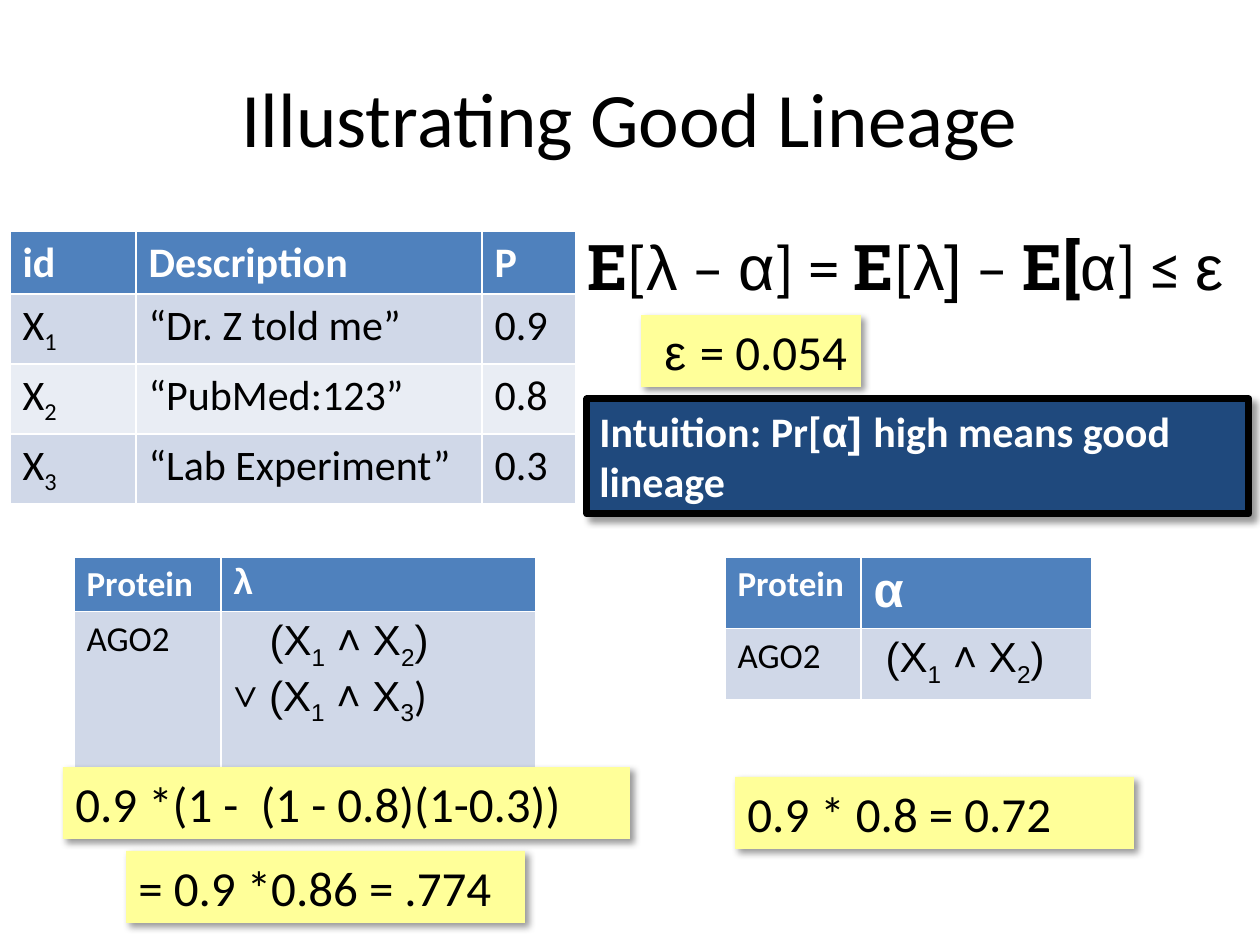
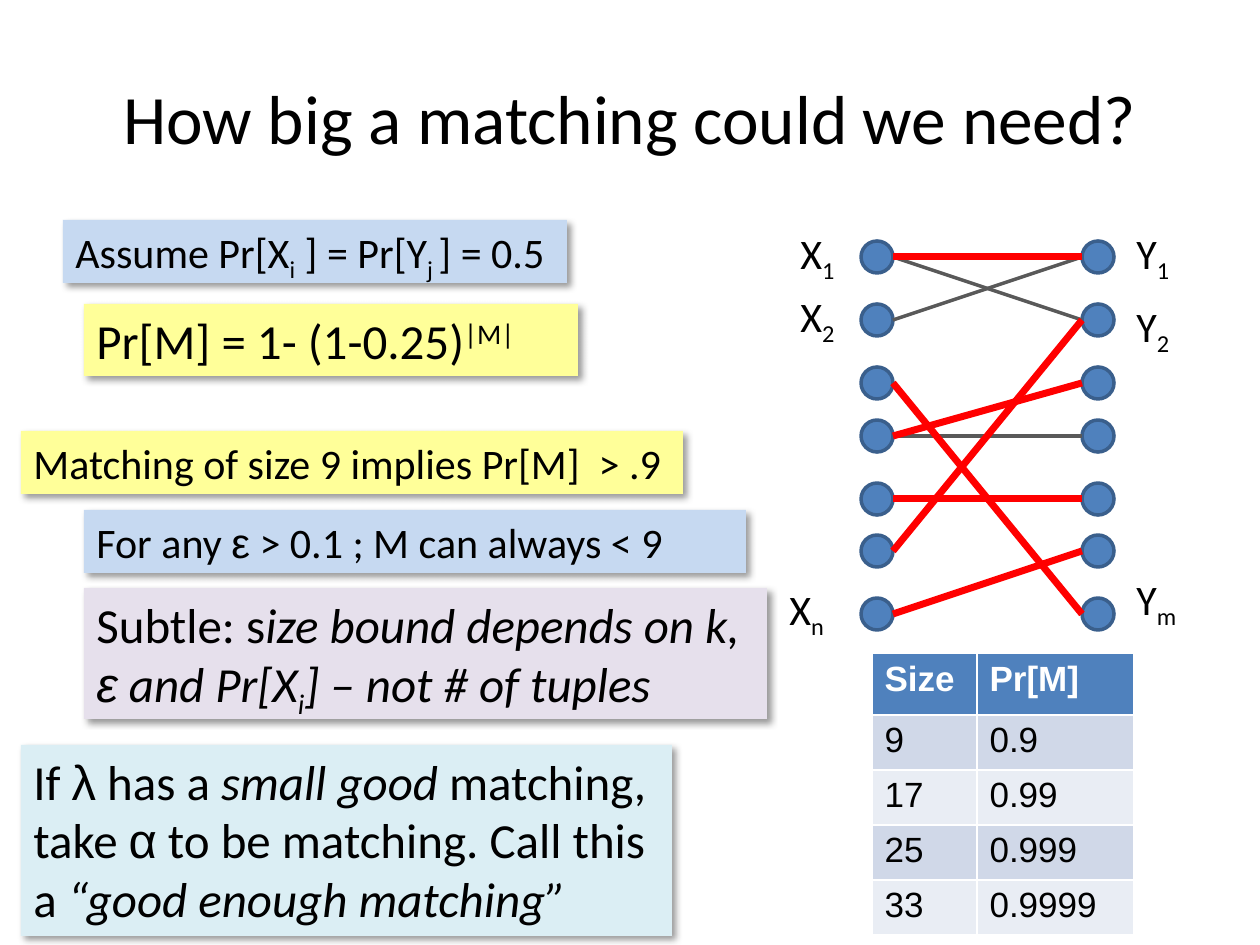
"""Two slides on good lineage and the size of a matching."""
from lxml import etree
from pptx import Presentation
from pptx import util as u
from pptx.dml.color import RGBColor
from pptx.enum import shapes, text
from pptx.oxml import ns

SCALE = 914400 / 126
BLACK = RGBColor(0x00, 0x00, 0x00)
WHITE = RGBColor(0xFF, 0xFF, 0xFF)
BLUE = RGBColor(0x4F, 0x81, 0xBD)
RIM = RGBColor(0x3A, 0x5F, 0x8C)
NAVY = RGBColor(0x1F, 0x49, 0x7D)
BANDS = RGBColor(0xD0, 0xD8, 0xE8), RGBColor(0xE9, 0xED, 0xF4)
YELLOW = RGBColor(0xFF, 0xFF, 0x99)
SKY = RGBColor(0xC6, 0xD9, 0xF1)
LILAC = RGBColor(0xE6, 0xE0, 0xEC)
AQUA = RGBColor(0xDB, 0xEE, 0xF4)
GRAY = RGBColor(0x59, 0x59, 0x59)
RED = RGBColor(0xFF, 0x00, 0x00)

FONTS = {"a": "Arial", "s": "Roboto Slab", "t": "Times New Roman"}
SHIFTS = {"_": "-25000", "^": "30000"}

PAIR = [("(X", "a"), ("1", "a_"), (" ˄ X", "a"), ("2", "a_"), (")", "a")]
EITHER = PAIR + ["\n", ("˅", "tb"), (" (X", "a"), ("1", "a_"),
                 (" ˄ X", "a"), ("3", "a_"), ")"]

LINEAGE = {
    "title": (["Illustrating Good Lineage"], 44),
    "tables": [
        {"at": (10, 231), "cols": (126, 346, 94), "rows": (63, 69, 70, 69),
         "sizes": [(24, 24, 24)] * 4,
         "cells": [
             [["id"], ["Description"], ["P"]],
             [["X", ("1", "_")], ["“Dr. Z told me”"], ["0.9"]],
             [["X", ("2", "_")], ["“PubMed:123”"], ["0.8"]],
             [["X", ("3", "_")], ["“Lab Experiment”"], ["0.3"]]]},
        {"at": (74, 557), "cols": (147, 315), "rows": (54, 158),
         "sizes": [(20, 20), (20, 24)], "indent": 36,
         "cells": [[["Protein"], [("λ", "a")]], [["AGO2"], EITHER]]},
        {"at": (725, 557), "cols": (136, 231), "rows": (65, 71),
         "sizes": [(20, 28), (20, 24)], "indent": 12,
         "cells": [[["Protein"], [("α", "a")]], [["AGO2"], PAIR]]}],
    "boxes": [
        ((63, 767, 567, 72), YELLOW, 28, ["0.9 *(1 -  (1 - 0.8)(1-0.3))"]),
        ((735, 777, 399, 72), YELLOW, 28, ["0.9 * 0.8 = 0.72"]),
        ((126, 851, 399, 72), YELLOW, 28, ["= 0.9 *0.86 = .774"]),
        ((641, 315, 220, 72), YELLOW, 28, [" ", ("ε ", "a"), "= 0.054"]),
        ((587, 399, 662, 115), NAVY, 24,
         [("Intuition: Pr[", "b"), ("α] ", "ab"), ("high means good lineage", "b")])],
    "labels": [
        ((575, 221, 685, 89), 36,
         [("E", "sb"), "[", ("λ", "a"), " – ", ("α", "a"), "] = ",
          ("E", "sb"), "[", ("λ]", "a"), " – ", ("E[", "sb"), ("α", "a"),
          "] ≤ ", ("ε", "a")])],
}

MATCHING = {
    "title": (["How big a matching could we need?"], 39.6),
    "tables": [
        {"at": (872, 653), "cols": (105, 157), "rows": (62, 55, 55, 55, 54),
         "sizes": [(20, 20)] * 5,
         "cells": [[[(word, "a")] for word in row] for row in (
             ("Size", "Pr[M]"), ("9", "0.9"), ("17", "0.99"),
             ("25", "0.999"), ("33", "0.9999"))]}],
    "boxes": [
        ((21, 431, 662, 63), YELLOW, 24, ["Matching of size 9 implies Pr[M]  > .9"]),
        ((84, 304, 494, 72), YELLOW, 28, ["Pr[M] = 1- (1-0.25)", ("|M|", "^")]),
        ((63, 220, 504, 63), SKY, 24,
         ["Assume Pr[X", ("i", "_"), " ] = Pr[Y", ("j ", "_"), "] = 0.5"]),
        ((21, 745, 651, 191), AQUA, 28,
         ["If ", ("λ", "a"), " has a ", ("small good ", "i"), "matching, take ",
          ("α", "a"), " to be matching. Call this a ",
          ("“good enough matching”", "i")]),
        ((84, 588, 683, 131), LILAC, 28,
         ["Subtle: s", ("ize bound depends on k, ", "i"), ("ε", "ai"),
          (" and Pr[X", "i"), ("i", "i_"), ("] – not # of tuples", "i")]),
        ((84, 510, 662, 63), SKY, 24,
         ["For any ", ("ε", "a"), " > 0.1 ; M can always < 9"])],
    "labels": [
        ((x, y, w, 63), 24, [name, (sub, "_")]) for x, y, w, name, sub in (
            (788, 221, 63, "X", "1"), (788, 284, 63, "X", "2"),
            (777, 577, 63, "X", "n"), (1124, 221, 63, "Y", "1"),
            (1124, 294, 63, "Y", "2"), (1124, 567, 73, "Y", "m"))],
}

DOT = 32
LEFT, RIGHT = 861, 1082
TOPS = (241, 304, 367, 420, 483, 535, 598)
CHOSEN = [(0, 0), (3, 2), (2, 6), (4, 4), (6, 5), (5, 1)]
EDGES = [(0, 1), (1, 0), (3, 3)] + CHOSEN


def px(n):
    return u.Emu(round(n * SCALE))


def write(frame, runs, size, color=BLACK, bold=False):
    para = frame.paragraphs[0]
    for item in runs:
        if item == "\n":
            para = frame.add_paragraph()
            continue
        word, marks = (item, "") if isinstance(item, str) else item
        run = para.add_run()
        run.text = word
        font = run.font
        font.size = u.Pt(size)
        font.name = next((FONTS[m] for m in marks if m in FONTS), "Calibri")
        font.bold = bold or "b" in marks
        font.italic = "i" in marks
        font.color.rgb = color
        for mark in marks:
            if mark in SHIFTS:
                run._r.get_or_add_rPr().set("baseline", SHIFTS[mark])


def add_label(slide, area, size, runs):
    frame = slide.shapes.add_textbox(*map(px, area)).text_frame
    frame.word_wrap = True
    write(frame, runs, size)
    return frame


def add_title(slide, runs, size):
    frame = add_label(slide, (63, 38, 1134, 157), size, runs)
    frame.vertical_anchor = text.MSO_ANCHOR.MIDDLE
    frame.paragraphs[0].alignment = text.PP_ALIGN.CENTER


def add_shade(shape):
    props = shape._element.spPr
    for old in props.findall(ns.qn("a:effectLst")):
        props.remove(old)
    effects = etree.SubElement(props, ns.qn("a:effectLst"))
    shade = etree.SubElement(effects, ns.qn("a:outerShdw"), blurRad="50800",
                             dist="38100", dir="2700000", algn="tl", rotWithShape="0")
    tint = etree.SubElement(shade, ns.qn("a:srgbClr"), val="000000")
    etree.SubElement(tint, ns.qn("a:alpha"), val="40000")


def add_box(slide, area, fill, size, runs):
    box = slide.shapes.add_shape(shapes.MSO_SHAPE.RECTANGLE, *map(px, area))
    box.fill.solid()
    box.fill.fore_color.rgb = fill
    dark = fill == NAVY
    if dark:
        box.line.color.rgb = BLACK
        box.line.width = u.Pt(4)
    else:
        box.line.fill.background()
    add_shade(box)
    frame = box.text_frame
    frame.word_wrap = True
    frame.vertical_anchor = text.MSO_ANCHOR.TOP
    write(frame, runs, size, WHITE if dark else BLACK)
    frame.paragraphs[0].alignment = text.PP_ALIGN.LEFT


def add_grid(slide, data):
    cols, rows = data["cols"], data["rows"]
    area = *data["at"], sum(cols), sum(rows)
    grid = slide.shapes.add_table(len(rows), len(cols), *map(px, area)).table
    for col, width in zip(grid.columns, cols):
        col.width = px(width)
    for r, height in enumerate(rows):
        grid.rows[r].height = px(height)
        for c, runs in enumerate(data["cells"][r]):
            cell = grid.cell(r, c)
            cell.fill.solid()
            cell.fill.fore_color.rgb = BANDS[(r - 1) % 2] if r else BLUE
            write(cell.text_frame, runs, data["sizes"][r][c],
                  BLACK if r else WHITE, r == 0)
    if "indent" in data:
        para = grid.cell(1, 1).text_frame.paragraphs[0]
        para._p.get_or_add_pPr().set("marL", str(px(data["indent"])))


def add_edges(slide, pairs, color, width):
    for a, b in pairs:
        ends = LEFT + DOT, TOPS[a] + DOT // 2, RIGHT, TOPS[b] + DOT // 2
        edge = slide.shapes.add_connector(shapes.MSO_CONNECTOR.STRAIGHT, *map(px, ends))
        edge.line.color.rgb = color
        edge.line.width = u.Pt(width)
        etree.SubElement(edge._element.spPr, ns.qn("a:effectLst"))


def add_graph(slide):
    for x in (LEFT, RIGHT):
        for y in TOPS:
            dot = slide.shapes.add_shape(shapes.MSO_SHAPE.OVAL, *map(px, (x, y, DOT, DOT)))
            dot.shadow.inherit = False
            dot.fill.solid()
            dot.fill.fore_color.rgb = BLUE
            dot.line.color.rgb = RIM
            dot.line.width = u.Pt(2)
    add_edges(slide, EDGES, GRAY, 2)
    add_edges(slide, CHOSEN, RED, 4)


def add_page(deck, data):
    slide = deck.slides.add_slide(deck.slide_layouts[6])
    add_title(slide, *data["title"])
    for grid in data["tables"]:
        add_grid(slide, grid)
    for box in data["boxes"]:
        add_box(slide, *box)
    for label in data["labels"]:
        add_label(slide, *label)
    return slide


def main():
    deck = Presentation()
    deck.slide_width, deck.slide_height = px(1260), px(945)
    add_page(deck, LINEAGE)
    add_graph(add_page(deck, MATCHING))
    deck.save("out.pptx")


if __name__ == "__main__":
    main()
